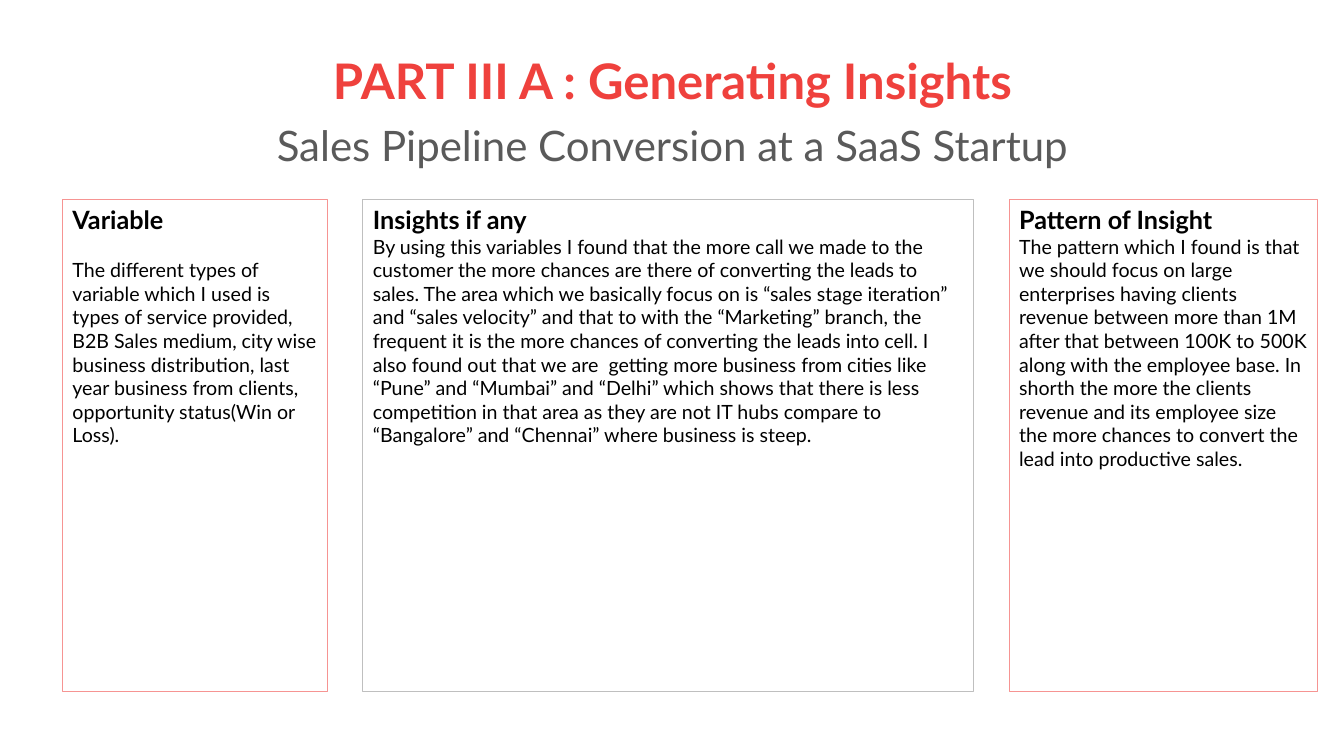
from dataclasses import dataclass

from pptx import Presentation
from pptx import util as u
from pptx.dml.color import RGBColor
from pptx.enum import shapes, text


@dataclass(frozen=True)
class Theme:
    font: str = "Lato"
    red: str = "EF413D"
    soft_red: str = "F69492"
    grey: str = "5A5A5A"
    soft_grey: str = "BFBFBF"
    black: str = "000000"
    part_size: float = 35
    topic_size: float = 30
    heading_size: float = 18
    body_size: float = 14
    title_spacing: float = 0.9
    title_gap: float = 10.8
    blank_line: float = 16.8
    border: float = 0.75


THEME = Theme()

# Grid in inches: one row of panels, separated by equal gutters
SLIDE_WIDTH, SLIDE_HEIGHT = 13.33, 7.5
TITLE_BOX = (0.92, 0.4, 11.5, 1.45)
PANELS_LEFT, PANELS_TOP, PANELS_HEIGHT = 0.62, 1.98, 4.88
GUTTER = 0.35

# Each panel: width, border colour, heading, body, space above the body
PANELS = [
    (2.63, THEME.soft_red, "Variable",
     "The different types of variable which I used is types of service "
     "provided, B2B Sales medium, city wise business distribution, last year "
     "business from clients, opportunity status(Win or Loss).",
     THEME.blank_line),
    (6.06, THEME.soft_grey, "Insights if any",
     "By using this variables I found that the more call we made to the "
     "customer the more chances are there of converting the leads to sales. "
     "The area which we basically focus on is “sales stage iteration” and "
     "“sales velocity” and that to with the “Marketing” branch, the frequent "
     "it is the more chances of converting the leads into cell. I also found "
     "out that we are  getting more business from cities like “Pune” and "
     "“Mumbai” and “Delhi” which shows that there is less competition in that "
     "area as they are not IT hubs compare to “Bangalore” and “Chennai” where "
     "business is steep.",
     0),
    (3.06, THEME.soft_red, "Pattern of Insight",
     "The pattern which I found is that we should focus on large enterprises "
     "having clients revenue between more than 1M after that between 100K to "
     "500K along with the employee base. In shorth the more the clients "
     "revenue and its employee size the more chances to convert the lead into "
     "productive sales.",
     0),
]


def write(paragraph, wording, size, color, bold=False,
          align=text.PP_ALIGN.LEFT, before=0, spacing=1.0):
    paragraph.text = wording
    paragraph.alignment = align
    paragraph.space_before = u.Pt(before)
    paragraph.line_spacing = spacing
    paragraph.font.name = THEME.font
    paragraph.font.size = u.Pt(size)
    paragraph.font.bold = bold
    paragraph.font.color.rgb = RGBColor.from_string(color)


def set_frame(frame, anchor):
    frame.word_wrap = True
    frame.auto_size = text.MSO_AUTO_SIZE.NONE
    frame.vertical_anchor = anchor
    frame.margin_left = frame.margin_right = u.Inches(0.1)
    frame.margin_top = frame.margin_bottom = u.Inches(0.05)


def add_title(slide, part, topic):
    title = slide.shapes.title
    title.left, title.top, title.width, title.height = map(u.Inches, TITLE_BOX)
    frame = title.text_frame
    set_frame(frame, text.MSO_ANCHOR.MIDDLE)
    centre = text.PP_ALIGN.CENTER
    write(frame.paragraphs[0], part, THEME.part_size, THEME.red, True,
          centre, spacing=THEME.title_spacing)
    write(frame.add_paragraph(), topic, THEME.topic_size, THEME.grey, False,
          centre, THEME.title_gap, THEME.title_spacing)


def add_panel(slide, left, width, border, heading, body, body_gap):
    panel = slide.shapes.add_shape(
        shapes.MSO_SHAPE.RECTANGLE, u.Inches(left), u.Inches(PANELS_TOP),
        u.Inches(width), u.Inches(PANELS_HEIGHT))
    panel.shadow.inherit = False
    panel.fill.background()
    panel.line.color.rgb = RGBColor.from_string(border)
    panel.line.width = u.Pt(THEME.border)
    frame = panel.text_frame
    set_frame(frame, text.MSO_ANCHOR.TOP)
    write(frame.paragraphs[0], heading, THEME.heading_size, THEME.black, True)
    write(frame.add_paragraph(), body, THEME.body_size, THEME.black,
          before=body_gap)


def main():
    deck = Presentation()
    deck.slide_width = u.Inches(SLIDE_WIDTH)
    deck.slide_height = u.Inches(SLIDE_HEIGHT)
    slide = deck.slides.add_slide(deck.slide_layouts[5])  # title only

    # Title with its topic line
    add_title(slide, "PART III A : Generating Insights",
              "Sales Pipeline Conversion at a SaaS Startup")

    # Panels from left to right
    left = PANELS_LEFT
    for width, *content in PANELS:
        add_panel(slide, left, width, *content)
        left += width + GUTTER

    deck.save("out.pptx")


if __name__ == "__main__":
    main()
